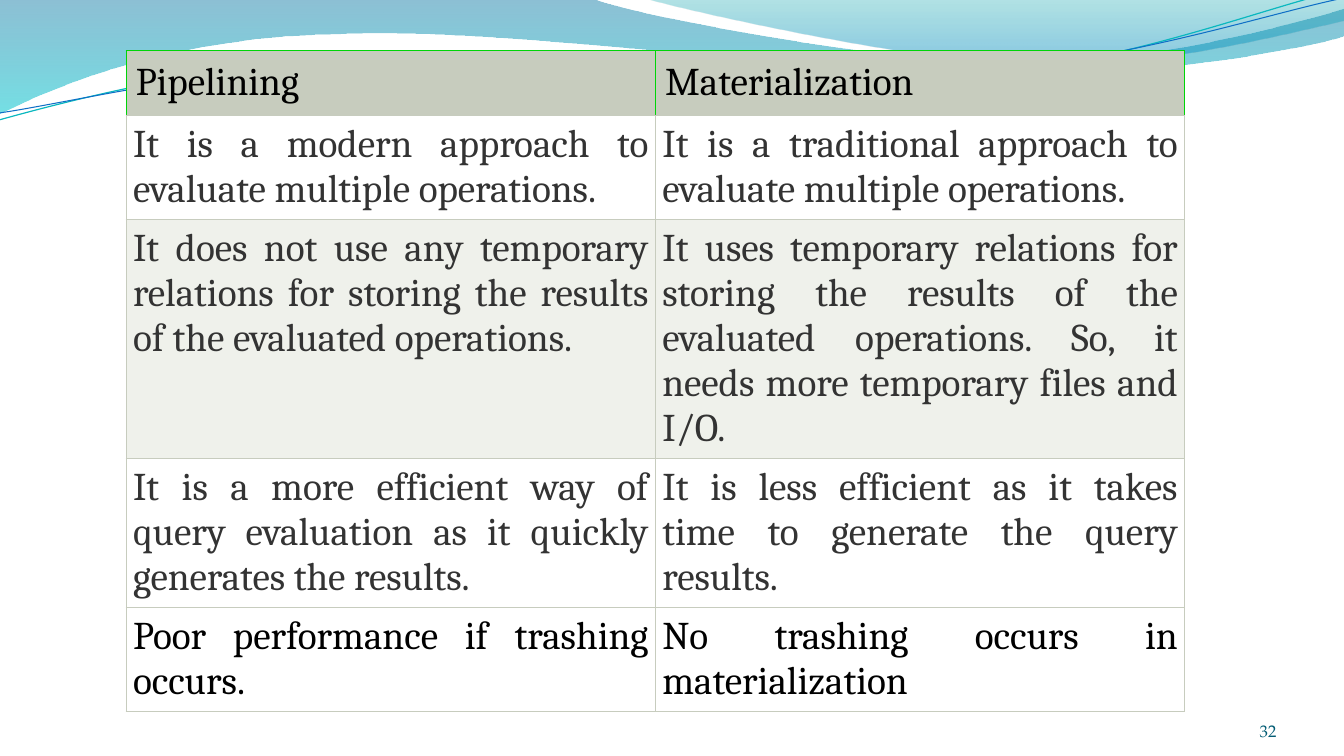
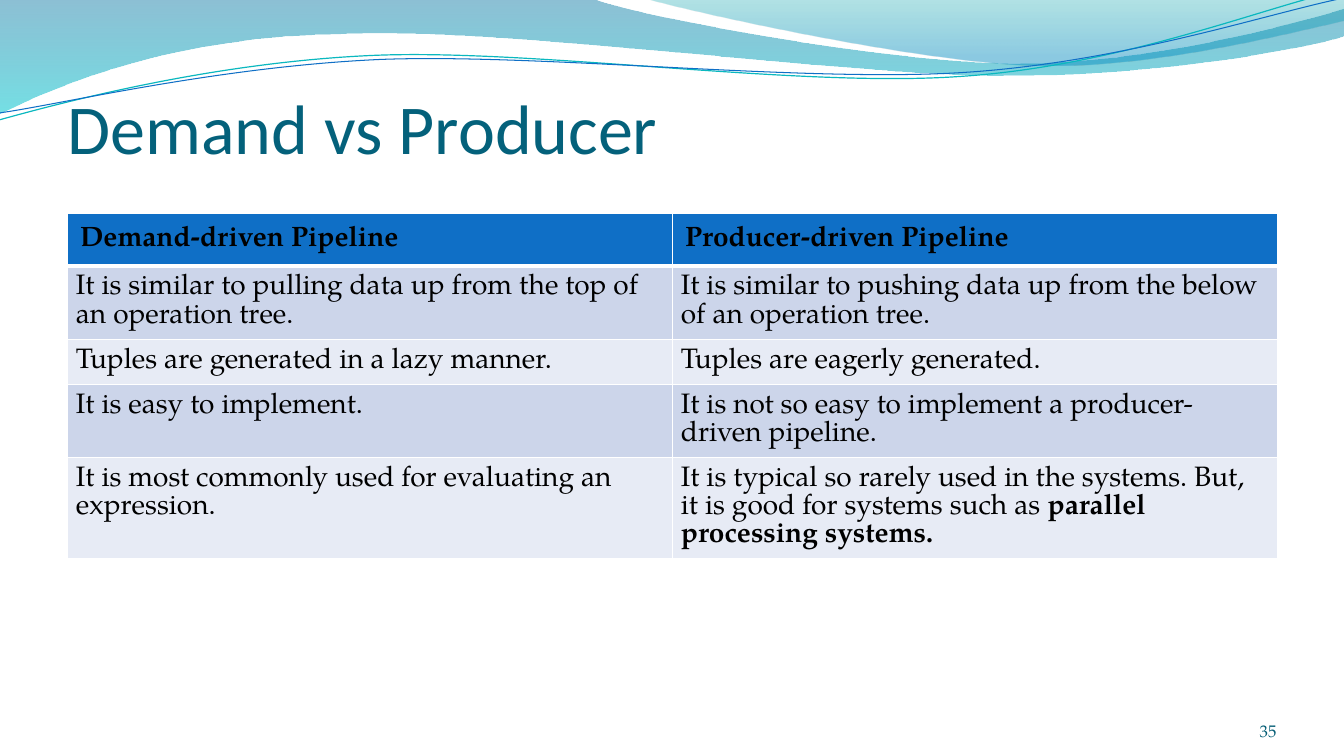
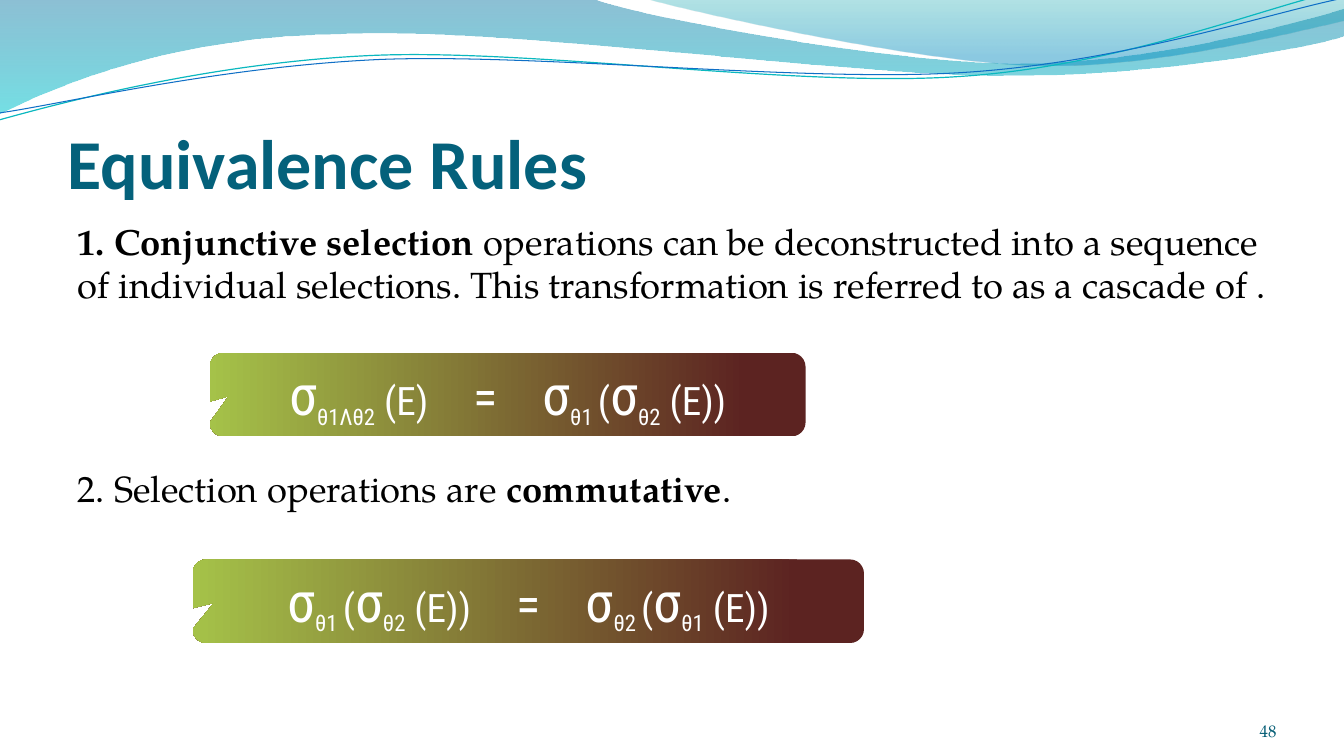
"""Build three slides on query evaluation and equivalence rules."""
from dataclasses import dataclass
from lxml.etree import SubElement
from pptx import Presentation
from pptx.dml.color import RGBColor
from pptx.enum.shapes import MSO_SHAPE
from pptx.enum.text import MSO_ANCHOR as ANCHOR, MSO_AUTO_SIZE as AUTO, PP_ALIGN as ALIGN
from pptx.oxml.ns import qn
from pptx.util import Inches, Pt

TITLE_FONT, BODY_FONT = "Calibri", "TeX Gyre Pagella"
TABLE_FONT, FORMULA_FONT = "Cambria", "Roboto Condensed"
BLACK, WHITE = RGBColor(0, 0, 0), RGBColor(255, 255, 255)
CHARCOAL = RGBColor(0x33, 0x33, 0x33)
TITLE_TEAL, NUMBER_TEAL = RGBColor(0x04, 0x61, 0x7B), RGBColor(0x04, 0x5D, 0x75)
AQUA, BLUE = RGBColor(0x0A, 0xB8, 0xBF), RGBColor(0x0F, 0x6F, 0xC6)
DEEP_BLUE, CYAN = RGBColor(0x00, 0x74, 0xA1), RGBColor(0x00, 0xC6, 0xCF)
SEA, SKY = RGBColor(0x00, 0xA1, 0xA9), RGBColor(0x00, 0x8B, 0xBF)
SAGE, PALE_SAGE = RGBColor(0xC7, 0xCC, 0xBE), RGBColor(0xEF, 0xF1, 0xEB)
GREEN = RGBColor(0x00, 0xD4, 0x08)
PERIWINKLE, PALE_BLUE = RGBColor(0xCC, 0xD5, 0xEA), RGBColor(0xE7, 0xEB, 0xF5)
MAROON, LIME = RGBColor(0x5C, 0x23, 0x21), RGBColor(0xA5, 0xC2, 0x49)

UPPER_WAVE = [[(-0.01, 0)], [(5.87, -0.01)],
              [(6.34, 0.17), (8.84, 0.63), (10.11, 0.63)],
              [(11.37, 0.63), (12.77, 0.26), (13.33, 0.09)], [(13.34, 0.36)],
              [(13.11, 0.44), (11.59, 0.76), (9.94, 0.75)],
              [(8.29, 0.75), (5.09, 0.28), (3.43, 0.34)],
              [(1.72, 0.36), (0.61, 0.83), (-0.01, 1.13)]]
RIGHT_WAVE = [[(6.39, -0.01)], [(6.79, 0.11), (9.09, 0.62), (10.25, 0.65)],
              [(11.4, 0.69), (12.82, 0.32), (13.33, 0.21)], [(13.33, 0)]]
AQUA_LINE = [[(-0.01, 1.19)], [(0.64, 1.01), (2.11, 0.62), (3.69, 0.55)],
             [(5.27, 0.48), (7.89, 0.87), (9.5, 0.76)],
             [(11.1, 0.66), (12.51, 0.08), (13.31, -0.1)]]
BLUE_LINE = [[(0, 1.12)], [(0.63, 1.03), (2.18, 0.66), (3.78, 0.59)],
             [(5.37, 0.53), (7.96, 0.82), (9.55, 0.72)],
             [(11.14, 0.62), (12.55, 0.14), (13.33, -0.02)]]

PIPELINING_ROWS = [
    ("Pipelining", "Materialization"),
    ("It is a modern approach to evaluate multiple operations.",
     "It is a traditional approach to evaluate multiple operations."),
    ("It does not use any temporary relations for storing the results of the evaluated operations.",
     "It uses temporary relations for storing the results of the evaluated operations. "
     "So, it needs more temporary files and I/O."),
    ("It is a more efficient way of query evaluation as it quickly generates the results.",
     "It is less efficient as it takes time to generate the query results."),
    ("Poor performance if trashing occurs.", "No trashing occurs in materialization"),
]
DEMAND_ROWS = [
    ("*Demand-driven Pipeline*", "*Producer-driven Pipeline*"),
    ("It is similar to pulling data up from the top of an operation tree.",
     "It is similar to pushing data up from the below of an operation tree."),
    ("Tuples are generated in a lazy manner.", "Tuples are eagerly generated."),
    ("It is easy to implement.",
     "It is not so easy to implement a producer-driven pipeline."),
    ("It is most commonly used for evaluating an expression.",
     "It is typical so rarely used in the systems. But, it is good for systems such as "
     "*parallel processing systems.*"),
]
CASCADE = ["\t", "σ", "θ1Λθ2", " (E)", "\t=\t", "σ", "θ1 ", "(", "σ", "θ2", " (E))"]
COMMUTATIVE = ["\t", "σ", "θ1 ", "(", "σ", "θ2", " (E))", "\t=\t",
               "σ", "θ2 ", "(", "σ", "θ1", " (E))"]


@dataclass
class TableStyle:
    """Look of one table: text, fills, margins in points and borders."""
    font: str
    size: float
    align: ALIGN
    text_colors: list
    fills: list
    header_margin: float
    margin: float
    border: tuple
    header_border: tuple
    header_bottom: tuple


def format_run(r, font, size, color, bold=False):
    """Set the font of a run."""
    r.font.name, r.font.size, r.font.bold = font, Pt(size), bold
    r.font.color.rgb = color


def write(p, text, font, size, color, align=ALIGN.LEFT):
    """Write text into a paragraph, with parts between asterisks in bold."""
    p.alignment = align
    for i, part in enumerate(text.split("*")):
        if part:
            r = p.add_run()
            r.text = part
            format_run(r, font, size, color, bold=i % 2 == 1)


def place(sp, left, top, width, height):
    """Move and size a shape, in inches."""
    sp.left, sp.top = Inches(left), Inches(top)
    sp.width, sp.height = Inches(width), Inches(height)


def set_frame(tf, anchor, margins):
    """Set wrapping, anchor and the left, top, right and bottom margins."""
    tf.word_wrap, tf.auto_size, tf.vertical_anchor = True, AUTO.NONE, anchor
    (tf.margin_left, tf.margin_top,
     tf.margin_right, tf.margin_bottom) = [Inches(m) for m in margins]


def fill_gradient(sp, angle, stops):
    """Fill a shape with (position, colour, opacity) stops in percent."""
    sp.fill.gradient()
    sp.fill.gradient_angle = angle
    gs_list = sp.element.spPr.find(".//" + qn("a:gsLst"))
    for gs in list(gs_list):
        gs_list.remove(gs)
    for position, color, opacity in stops:
        gs = SubElement(gs_list, qn("a:gs"), pos=str(position * 1000))
        clr = SubElement(gs, qn("a:srgbClr"), val=str(color))
        if opacity < 100:
            SubElement(clr, qn("a:alpha"), val=str(opacity * 1000))


def add_outline(slide, segments, close):
    """Add a freeform of straight and cubic segments without a shadow."""
    start, *rest = [(Inches(x), Inches(y)) for segment in segments for x, y in segment]
    builder = slide.shapes.build_freeform(*start)
    builder.add_line_segments(rest, close=close)
    sp = builder.convert_to_shape()
    sp.shadow.inherit = False
    lines = iter(list(sp.element.spPr.iter(qn("a:lnTo"))))
    for segment in segments[1:]:
        first, *others = [next(lines) for _ in segment]
        if others:
            first.tag = qn("a:cubicBezTo")
            for line in others:
                first.append(line[0])
                line.getparent().remove(line)
    return sp


def add_master_waves(prs, slide):
    """Draw the wave band and move it to the slide master."""
    waves = []
    for segments, stops in (
            (UPPER_WAVE, [(0, DEEP_BLUE, 45), (100, CYAN, 55)]),
            (RIGHT_WAVE, [(0, SEA, 30), (80, SKY, 45)])):
        sp = add_outline(slide, segments, True)
        fill_gradient(sp, 270, stops)
        sp.line.fill.background()
        waves.append(sp)
    for segments, color, width in ((AQUA_LINE, AQUA, 0.85), (BLUE_LINE, BLUE, 0.75)):
        sp = add_outline(slide, segments, False)
        sp.fill.background()
        sp.line.color.rgb, sp.line.width = color, Pt(width)
        waves.append(sp)
    for sp in waves:
        prs.slide_master.shapes.element.append(sp.element)


def add_slide(prs, layout, number):
    """Add a slide with its number at the lower right."""
    slide = prs.slides.add_slide(prs.slide_layouts.get_by_name(layout))
    sp = slide.shapes.add_textbox(Inches(11.55), Inches(6.95), Inches(1.11), Inches(0.4))
    set_frame(sp.text_frame, ANCHOR.BOTTOM, (0, 0, 0, 0))
    write(sp.text_frame.paragraphs[0], str(number), BODY_FONT, 12, NUMBER_TEAL, ALIGN.RIGHT)
    return slide


def set_title(slide, text, height):
    """Place and write the title."""
    sp = slide.shapes.title
    place(sp, 0.67, 0.77, 12, height)
    set_frame(sp.text_frame, ANCHOR.BOTTOM, (0, 0.05, 0, 0))
    write(sp.text_frame.paragraphs[0], text, TITLE_FONT, 50, TITLE_TEAL)


def set_border(cell, sides):
    """Set the left, right, top and bottom borders as (colour, points)."""
    tc_pr = cell._tc.get_or_add_tcPr()
    for i, (tag, (color, width)) in enumerate(zip(("lnL", "lnR", "lnT", "lnB"), sides)):
        ln = SubElement(tc_pr, qn("a:" + tag), w=str(Pt(width)))
        fill = SubElement(ln, qn("a:solidFill"))
        SubElement(fill, qn("a:srgbClr"), val=str(color))
        tc_pr.insert(i, ln)


def add_text_table(slide, left, top, width, rows, style):
    """Add a table of text with equal columns and rows that grow with the text."""
    table = slide.shapes.add_table(len(rows), len(rows[0]), Inches(left), Inches(top),
                                   Inches(width), Inches(0.41 * len(rows))).table
    table.first_row = table.horz_banding = False
    for i, texts in enumerate(rows):
        for j, text in enumerate(texts):
            cell = table.cell(i, j)
            margin = Pt(style.margin if i else style.header_margin)
            cell.margin_left = cell.margin_right = margin
            cell.margin_top = cell.margin_bottom = margin
            cell.fill.solid()
            cell.fill.fore_color.rgb = style.fills[i]
            write(cell.text_frame.paragraphs[0], text, style.font, style.size,
                  style.text_colors[i], style.align)
            side = style.border if i else style.header_border
            above = style.header_bottom if i == 1 else side
            below = style.border if i else style.header_bottom
            set_border(cell, (side, side, above, below))


def set_body(slide, items):
    """Place the body and write (text, space before) items without bullets."""
    sp = slide.placeholders[1]
    place(sp, 0.67, 2.12, 12, 4.8)
    tf = sp.text_frame
    set_frame(tf, ANCHOR.TOP, (0.1, 0.05, 0.1, 0.05))
    for i, (text, space) in enumerate(items):
        p = tf.add_paragraph() if i else tf.paragraphs[0]
        p.space_before = Pt(space)
        write(p, text, BODY_FONT, 26, BLACK)
        p_pr = p._p.get_or_add_pPr()
        p_pr.set("marL", "0")
        p_pr.set("indent", "0")
        SubElement(p_pr, qn("a:buNone"))


def add_formula(slide, left, top, width, parts, tabs):
    """Add a callout with a formula whose two sides stand at tab stops."""
    sp = slide.shapes.add_shape(MSO_SHAPE.ROUNDED_RECTANGULAR_CALLOUT, Inches(left),
                                Inches(top), Inches(width), Inches(0.83))
    for i, value in enumerate((-0.468, 0.019, 0.167)):
        sp.adjustments[i] = value
    sp.shadow.inherit = False
    fill_gradient(sp, 180, [(0, MAROON, 100), (10, MAROON, 100), (100, LIME, 100)])
    sp.line.fill.background()
    set_frame(sp.text_frame, ANCHOR.MIDDLE, (0.1, 0.05, 0.1, 0.05))
    p = sp.text_frame.paragraphs[0]
    p.alignment = ALIGN.LEFT
    tab_list = SubElement(p._p.get_or_add_pPr(), qn("a:tabLst"))
    for tab in tabs:
        SubElement(tab_list, qn("a:tab"), pos=str(Inches(tab)), algn="l")
    for part in parts:
        r = p.add_run()
        r.text = part
        size = {"σ": 40, "=": 36}.get(part.strip(), 28)
        format_run(r, FORMULA_FONT, size, WHITE)
        if part.startswith("θ"):
            r._r.get_or_add_rPr().set("baseline", "-25000")


def main():
    """Build and save the presentation."""
    prs = Presentation()
    prs.slide_width, prs.slide_height = Inches(13.33), Inches(7.5)

    slide = add_slide(prs, "Blank", 32)
    add_master_waves(prs, slide)
    sage_line = (SAGE, 0.6)
    add_text_table(slide, 1.25, 0.5, 10.5, PIPELINING_ROWS,
                   TableStyle(TABLE_FONT, 28, ALIGN.JUSTIFY,
                              [BLACK, CHARCOAL, CHARCOAL, CHARCOAL, BLACK],
                              [SAGE, WHITE, PALE_SAGE, WHITE, WHITE], 7, 5,
                              sage_line, (GREEN, 0.6), sage_line))

    slide = add_slide(prs, "Title Only", 35)
    set_title(slide, "Demand vs Producer", 0.9)
    white_line = (WHITE, 1)
    add_text_table(slide, 0.67, 2.12, 12, DEMAND_ROWS,
                   TableStyle(BODY_FONT, 20, ALIGN.LEFT, [BLACK] * 5,
                              [BLUE] + [PERIWINKLE, PALE_BLUE] * 2, 9, 6,
                              white_line, white_line, (WHITE, 3)))

    slide = add_slide(prs, "Title and Content", 48)
    set_title(slide, "*Equivalence Rules*", 1.25)
    set_body(slide, [
        ("*1. Conjunctive selection *operations can be deconstructed into a sequence of "
         "individual selections. This transformation is referred to as a cascade of .", 5.2),
        ("2. Selection operations are *commutative*.", 114)])
    add_formula(slide, 2.08, 3.5, 5.91, CASCADE, (0.65, 2.48, 3.16))
    add_formula(slide, 1.91, 5.55, 6.66, COMMUTATIVE, (0.8, 3.07, 3.76))
    prs.save("out.pptx")


if __name__ == "__main__":
    main()
